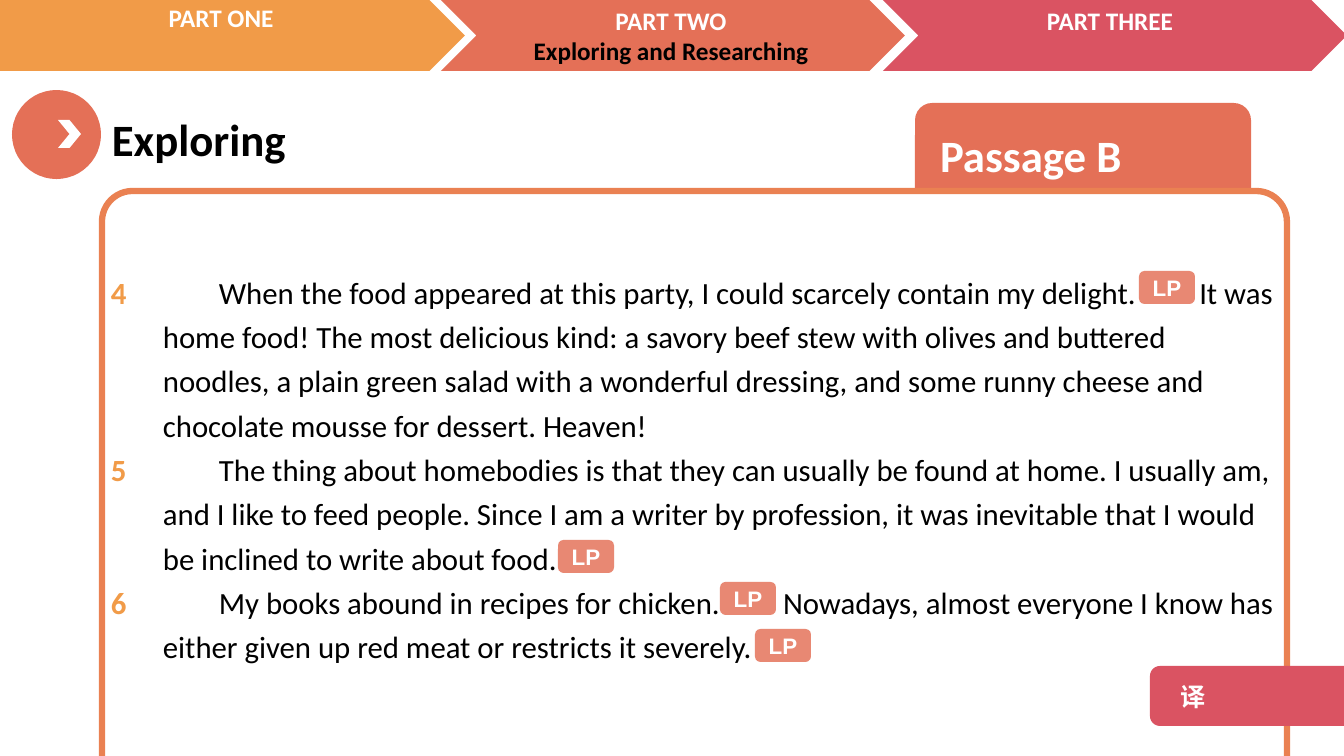
import pptx
import pptx.util
import pptx.dml.color
import pptx.enum.shapes
import pptx.enum.text
import pptx.oxml.ns
import lxml.etree

PX = 12192000 / 1344
THEME = {
    "coral": "E47057", "rose": "DA5362", "amber": "F19B48", "edge": "EA8152",
    "white": "FFFFFF", "black": "000000",
    "tab": 18, "head": 32, "body": 22, "tag": 16,
    "face": "Calibri", "plain": "Arial", "han": "Noto Sans CJK SC",
}
KIND = pptx.enum.shapes.MSO_SHAPE
ALIGN = pptx.enum.text.PP_ALIGN
MID = pptx.enum.text.MSO_ANCHOR.MIDDLE
qn = pptx.oxml.ns.qn

deck = pptx.Presentation()
deck.slide_width = round(1344 * PX)
deck.slide_height = round(756 * PX)
slide = deck.slides.add_slide(deck.slide_layouts[6])


def block(kind, box, fill):
    shape = slide.shapes.add_shape(kind, *[round(n * PX) for n in box])
    shape.shadow.inherit = False
    shape.fill.solid()
    shape.fill.fore_color.rgb = pptx.dml.color.RGBColor.from_string(THEME[fill])
    shape.line.fill.background()
    return shape


def write(box, rows, size, face="face", bold=True, align=ALIGN.LEFT, lead=None, dent=0, shape=None):
    shape = shape or slide.shapes.add_textbox(*[round(n * PX) for n in box])
    frame = shape.text_frame
    frame.word_wrap = True
    for at, (parts, tint, gap) in enumerate(rows):
        para = frame.paragraphs[0] if at == 0 else frame.add_paragraph()
        for part in parts:
            run = para.add_run()
            run.text = part
            if part == " ":
                run.font._element.set("spc", str(round(TAG_WIDE * PX / 127)))
        para.alignment = align
        if lead:
            para.line_spacing = lead
        if gap:
            para.space_before = pptx.util.Pt(gap)
        props = para._p.get_or_add_pPr()
        if dent:
            props.set("marL", "0")
            props.set("indent", str(round(dent * PX)))
        font = para.font
        font.size = pptx.util.Pt(THEME[size])
        font.bold = bold
        font.name = THEME[face]
        font.color.rgb = pptx.dml.color.RGBColor.from_string(THEME[tint])
        lxml.etree.SubElement(props.find(qn("a:defRPr")), qn("a:ea"), typeface=THEME[face])
    return frame


TAG_WIDE = 56

for left, wide, fill in [(441, 464, "coral"), (883, 464, "rose"), (-61, 526, "amber")]:
    block(KIND.CHEVRON, (left, 0, wide, 71), fill)
block(KIND.OVAL, (12, 90, 89, 89), "coral")
block(KIND.CHEVRON, (58, 120, 23, 28), "white")
write((102, 107, 489, 64), [(["Exploring"], "black", 0)], "head")

for left, top, rows in [
    (-9, -3, [(["PART ONE"], "white", 0)]),
    (880, 0, [(["PART THREE"], "white", 0)]),
    (441, 0, [(["PART TWO"], "white", 0), (["Exploring and Researching"], "black", 0)]),
]:
    write((left, top, 460, 40), rows, "tab", align=ALIGN.CENTER)

title = block(KIND.ROUNDED_RECTANGLE, (915, 103, 336, 103), "coral")
frame = write(None, [(["Passage B"], "white", 0)], "head", shape=title)
frame.margin_left = round(20 * PX)
frame.vertical_anchor = MID

panel = block(KIND.ROUNDED_RECTANGLE, (102, 191, 1185, 650), "white")
panel.adjustments[0] = 0.047
panel.line.color.rgb = pptx.dml.color.RGBColor.from_string(THEME["edge"])
panel.line.width = pptx.util.Pt(4.5)

story = [
    (["When the food appeared at this party, I could scarcely contain my delight.", " ",
      "It was home food! The most delicious kind: a savory beef stew with olives and buttered noodles, "
      "a plain green salad with a wonderful dressing, and some runny cheese and chocolate mousse for "
      "dessert. Heaven!"], "black", 0),
    (["The thing about homebodies is that they can usually be found at home. I usually am, and I like to "
      "feed people. Since I am a writer by profession, it was inevitable that I would be inclined to write "
      "about food."], "black", 0),
    (["My books abound in recipes for chicken.", " ",
      "Nowadays, almost everyone I know has either given up red meat or restricts it severely."],
     "black", 0),
]
write((153, 261, 1134, 414), story, "body", bold=False, lead=1.2, dent=56)

pitch = THEME["body"] * 1.2 * 1.2
marks = [([mark], "amber", skip * pitch) for mark, skip in [("4", 0), ("5", 3), ("6", 2)]]
write((101, 261, 51, 458), marks, "body", lead=1.2)

badge = block(KIND.ROUNDED_RECTANGLE, (1150, 666, 215, 60), "rose")
frame = write(None, [(["译"], "white", 0)], "tab", face="han", shape=badge)
frame.margin_left = round(28 * PX)
frame.vertical_anchor = MID

for left, top in [(1139, 271), (558, 540), (720, 582), (755, 629)]:
    tag = block(KIND.ROUNDED_RECTANGLE, (left, top, TAG_WIDE, 33), "coral")
    tint = tag.element.spPr.find(qn("a:solidFill")).find(qn("a:srgbClr"))
    lxml.etree.SubElement(tint, qn("a:alpha"), val="83000")
    frame = write(None, [(["LP"], "white", 0)], "tag", face="plain", align=ALIGN.CENTER, shape=tag)
    frame.vertical_anchor = MID

deck.save("out.pptx")
